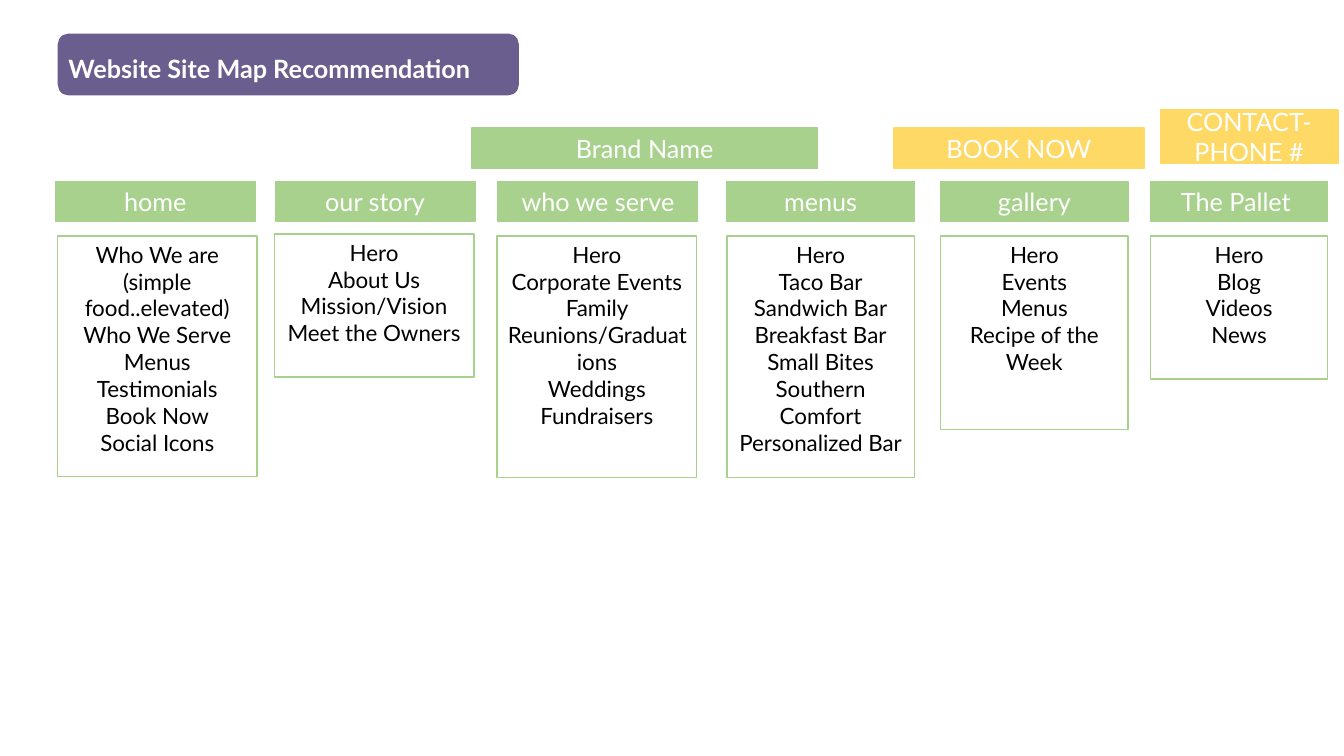
from pptx import Presentation
from pptx.dml.color import RGBColor
from pptx.enum.shapes import MSO_SHAPE as Shape
from pptx.enum.text import MSO_ANCHOR as Anchor, PP_ALIGN as Align
from pptx.util import Inches, Pt

GREEN, GOLD, PURPLE = "A9D18E", "FFD966", "6A5E8E"
WHITE, BLACK = "FFFFFF", "000000"

BANNERS = [
    ("Brand Name", GREEN, (4.68, 1.27, 3.43, 0.4)),
    ("BOOK NOW", GOLD, (8.86, 1.27, 2.49, 0.4)),
    ("CONTACT- PHONE #", GOLD, (11.51, 1.09, 1.76, 0.53)),
]

PAGES = [
    ("home", 0.55, 0.57, 2.34, 1.98, 2.39,
     ["Who We are (simple food..elevated)", "Who We Serve", "Menus",
      "Testimonials", "Book Now", "Social Icons"]),
    ("our story", 2.73, 2.72, 2.32, 1.98, 1.42,
     ["Hero", "About Us", "Mission/Vision", "Meet the Owners"]),
    ("who we serve", 4.94, 4.93, 2.34, 1.98, 2.4,
     ["Hero", "Corporate Events", "Family Reunions/Graduations",
      "Weddings", "Fundraisers"]),
    ("menus", 7.21, 7.21, 2.34, 1.86, 2.4,
     ["Hero", "Taco Bar", "Sandwich Bar", "Breakfast Bar", "Small Bites",
      "Southern Comfort", "Personalized Bar"]),
    ("gallery", 9.33, 9.33, 2.34, 1.86, 1.92,
     ["Hero", "Events", "Menus", "Recipe of the Week"]),
    ("The Pallet ", 11.41, 11.41, 2.34, 1.76, 1.42,
     ["Hero", "Blog", "Videos", "News"]),
]


def color(code):
    """Turn a hex string into a colour."""
    return RGBColor.from_string(code)


def write(shape, lines, align, anchor, ink, **style):
    """Fill a shape with one paragraph per line."""
    frame = shape.text_frame
    frame.word_wrap = True
    frame.vertical_anchor = anchor
    frame.text = "\n".join(lines)
    for para in frame.paragraphs:
        para.alignment = align
        font = para.runs[0].font
        font.color.rgb = color(ink)
        for key, value in {"name": "Lato", **style}.items():
            setattr(font, key, value)


def box(slide, place, edge, fill=None, kind=Shape.RECTANGLE):
    """Draw an outlined shape, filled when a fill is given."""
    shape = slide.shapes.add_shape(kind, *map(Inches, place))
    shape.shadow.inherit = False
    shape.line.color.rgb = color(edge)
    shape.line.width = Pt(1)
    if fill:
        shape.fill.solid()
        shape.fill.fore_color.rgb = color(fill)
    else:
        shape.fill.background()
    return shape


def title(slide, text):
    """Draw the title on its rounded plate."""
    box(slide, (0.58, 0.34, 4.56, 0.6), PURPLE, PURPLE, Shape.ROUNDED_RECTANGLE)
    label = slide.shapes.add_textbox(*map(Inches, (0.58, 0.48, 6.48, 0.4)))
    write(label, [text], Align.LEFT, Anchor.TOP, WHITE, size=Pt(18), bold=True)


def tab(slide, text, fill, place):
    """Draw a filled label with centred white text."""
    shape = box(slide, place, fill, fill)
    write(shape, [text], Align.CENTER, Anchor.MIDDLE, WHITE, size=Pt(18))


def page(slide, name, left, list_left, top, width, height, items):
    """Draw a page tab and the list of its sections."""
    tab(slide, name, GREEN, (left, 1.8, width, 0.4))
    panel = box(slide, (list_left, top, width, height), GREEN)
    write(panel, items, Align.CENTER, Anchor.TOP, BLACK, size=Pt(16))


def main():
    """Build the site map slide."""
    deck = Presentation()
    deck.slide_width, deck.slide_height = Inches(13.33), Inches(7.5)
    slide = deck.slides.add_slide(deck.slide_layouts[6])
    title(slide, "Website Site Map Recommendation")
    for banner in BANNERS:
        tab(slide, *banner)
    for entry in PAGES:
        page(slide, *entry)
    deck.save("out.pptx")


main()
